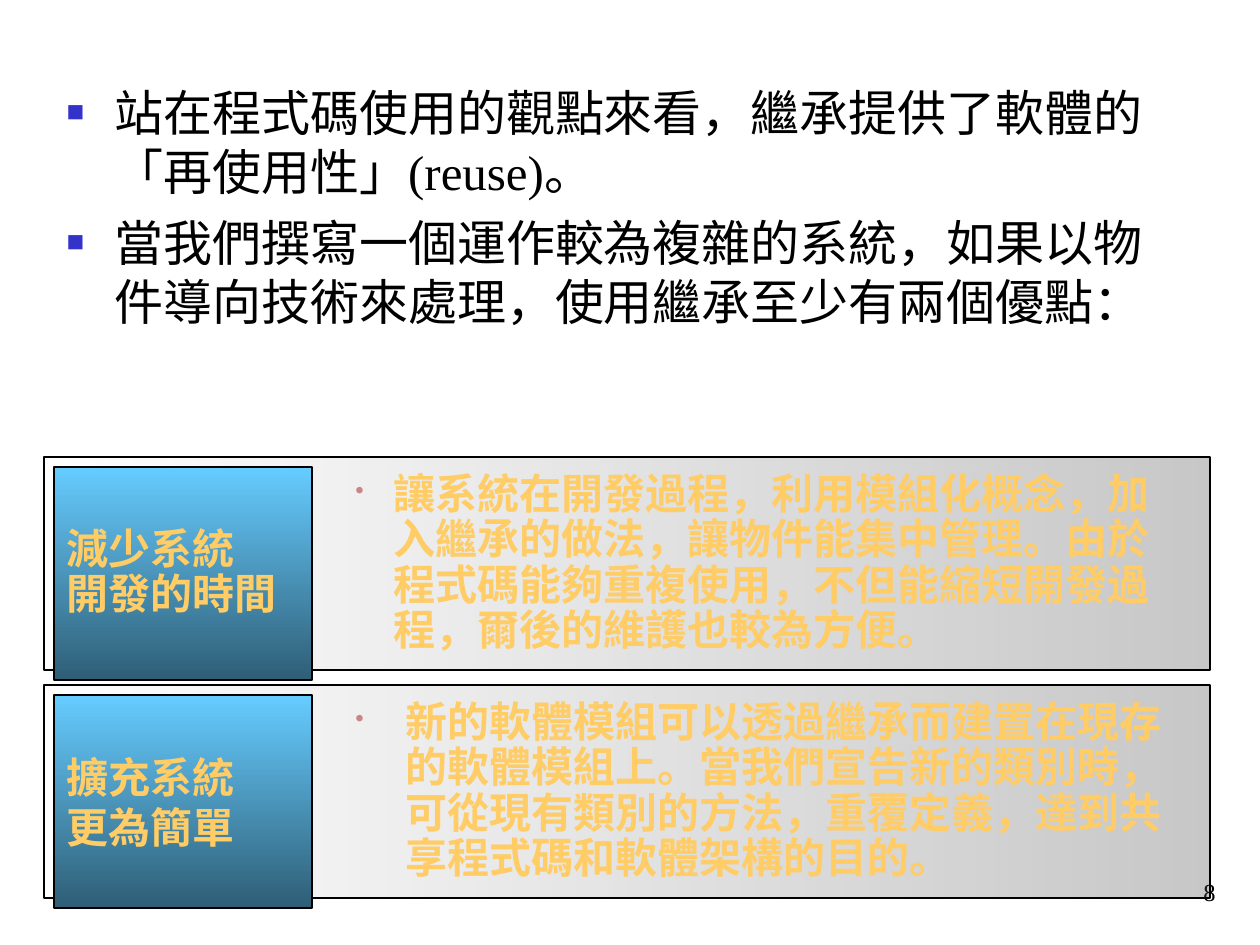
from lxml import etree
from pptx import Presentation
from pptx.dml.color import RGBColor
from pptx.enum.shapes import MSO_SHAPE
from pptx.enum.text import MSO_ANCHOR, MSO_AUTO_SIZE, PP_ALIGN
from pptx.oxml.ns import qn
from pptx.util import Emu, Pt

# Content
POINTS = [
    "站在程式碼使用的觀點來看，繼承提供了軟體的「再使用性」(reuse)。",
    "當我們撰寫一個運作較為複雜的系統，如果以物件導向技術來處理，使用繼承至少有兩個優點：",
]
BENEFITS = [
    {"label": ["減少系統", "開發的時間"], "label_spacing": 0.9, "indent": 38,
     "detail": "讓系統在開發過程，利用模組化概念，加入繼承的做法，讓物件能集中管理。"
               "由於程式碼能夠重複使用，不但能縮短開發過程，爾後的維護也較為方便。"},
    {"label": ["擴充系統", "更為簡單"], "label_spacing": 1.0, "indent": 50,
     "detail": "新的軟體模組可以透過繼承而建置在現存的軟體模組上。當我們宣告新的類別時，"
               "可從現有類別的方法，重覆定義，達到共享程式碼和軟體架構的目的。"},
]
PAGE_NUMBER = "8"

# Colours and text formats
BLACK = RGBColor(0x00, 0x00, 0x00)
WHITE = RGBColor(0xFF, 0xFF, 0xFF)
GREY = RGBColor(0x48, 0x48, 0x48)
SKY = RGBColor(0x66, 0xCC, 0xFF)
DEEP_BLUE = RGBColor(0x2F, 0x5E, 0x76)
GOLD = RGBColor(0xFF, 0xCC, 0x66)
BULLET_BLUE = RGBColor(0x33, 0x33, 0xCC)
BULLET_ROSE = RGBColor(0xCC, 0x85, 0x85)
FONT = "Times New Roman"
POINT_FONT = {"name": FONT, "size": Pt(28), "color": BLACK}
BENEFIT_FONT = {"name": FONT, "size": Pt(24), "bold": True, "color": GOLD}
NUMBER_FONT = {"name": FONT, "size": Pt(14), "color": BLACK}

# Layout in px
BODY = (54, 76, 1121, 260)
PANEL = (44, 457, 1166, 213)
LABEL = (54, 467, 258, 213)
DETAIL = (343, 467, 853, 198)
NUMBER = (966, 850, 262, 63)
ROW_STEP = 228


def px(value):
    return Emu(value * 914400 // 126)


def place(box, row=0):
    left, top, width, height = box
    return [px(value) for value in (left, top + row * ROW_STEP, width, height)]


def add_bullet(paragraph, char, color, indent):
    properties = paragraph._p.get_or_add_pPr()
    properties.set("marL", str(px(indent)))
    properties.set("indent", str(-px(indent)))
    bullet_color = etree.SubElement(properties, qn("a:buClr"))
    etree.SubElement(bullet_color, qn("a:srgbClr"), val=str(color))
    etree.SubElement(properties, qn("a:buSzPct"), val="60000")
    etree.SubElement(properties, qn("a:buChar"), char=char)


def write(frame, lines, font, bullet=None, space=0, **formats):
    for index, line in enumerate(lines):
        paragraph = frame.paragraphs[0] if index == 0 else frame.add_paragraph()
        if bullet:
            add_bullet(paragraph, *bullet)
        paragraph.space_before = Pt(space if index else 0)
        for name, value in formats.items():
            setattr(paragraph, name, value)
        run = paragraph.add_run()
        run.text = line
        for name, value in font.items():
            if name == "color":
                run.font.color.rgb = value
            else:
                setattr(run.font, name, value)


def add_gradient_box(slide, box, row, colors, angle, alpha=None):
    shape = slide.shapes.add_shape(MSO_SHAPE.RECTANGLE, *place(box, row))
    shape.shadow.inherit = False
    shape.line.color.rgb = BLACK
    shape.line.width = Pt(0.75)
    shape.fill.gradient()
    shape.fill.gradient_angle = angle
    for stop, color in zip(shape.fill.gradient_stops, colors):
        stop.color.rgb = color
    if alpha:
        for color in shape._element.spPr.find(qn("a:gradFill")).iter(qn("a:srgbClr")):
            etree.SubElement(color, qn("a:alpha"), val=str(alpha * 1000))
    return shape


def add_text(slide, box, row=0, anchor=MSO_ANCHOR.TOP):
    frame = slide.shapes.add_textbox(*place(box, row)).text_frame
    frame.word_wrap = True
    frame.vertical_anchor = anchor
    return frame


presentation = Presentation()
presentation.slide_width, presentation.slide_height = px(1260), px(945)
slide = presentation.slides.add_slide(presentation.slide_layouts[1])
title = slide.shapes.title
title._element.getparent().remove(title._element)

# Main points
body = slide.placeholders[1]
body.left, body.top, body.width, body.height = place(BODY)
body.text_frame.auto_size = MSO_AUTO_SIZE.NONE
write(body.text_frame, POINTS, POINT_FONT, ("■", BULLET_BLUE, 48), space=7)

# Page number
write(add_text(slide, NUMBER, anchor=MSO_ANCHOR.BOTTOM), [PAGE_NUMBER],
      NUMBER_FONT, alignment=PP_ALIGN.RIGHT)

# Benefit rows: panel, label and detail
for row, benefit in enumerate(BENEFITS):
    add_gradient_box(slide, PANEL, row, (WHITE, GREY), 0, alpha=30)
    label = add_gradient_box(slide, LABEL, row, (SKY, DEEP_BLUE), 270).text_frame
    label.word_wrap = False
    label.vertical_anchor = MSO_ANCHOR.MIDDLE
    write(label, benefit["label"], BENEFIT_FONT, alignment=PP_ALIGN.LEFT,
          line_spacing=benefit["label_spacing"])
    write(add_text(slide, DETAIL, row), [benefit["detail"]], BENEFIT_FONT,
          ("•", BULLET_ROSE, benefit["indent"]), line_spacing=0.9)

presentation.save("out.pptx")
